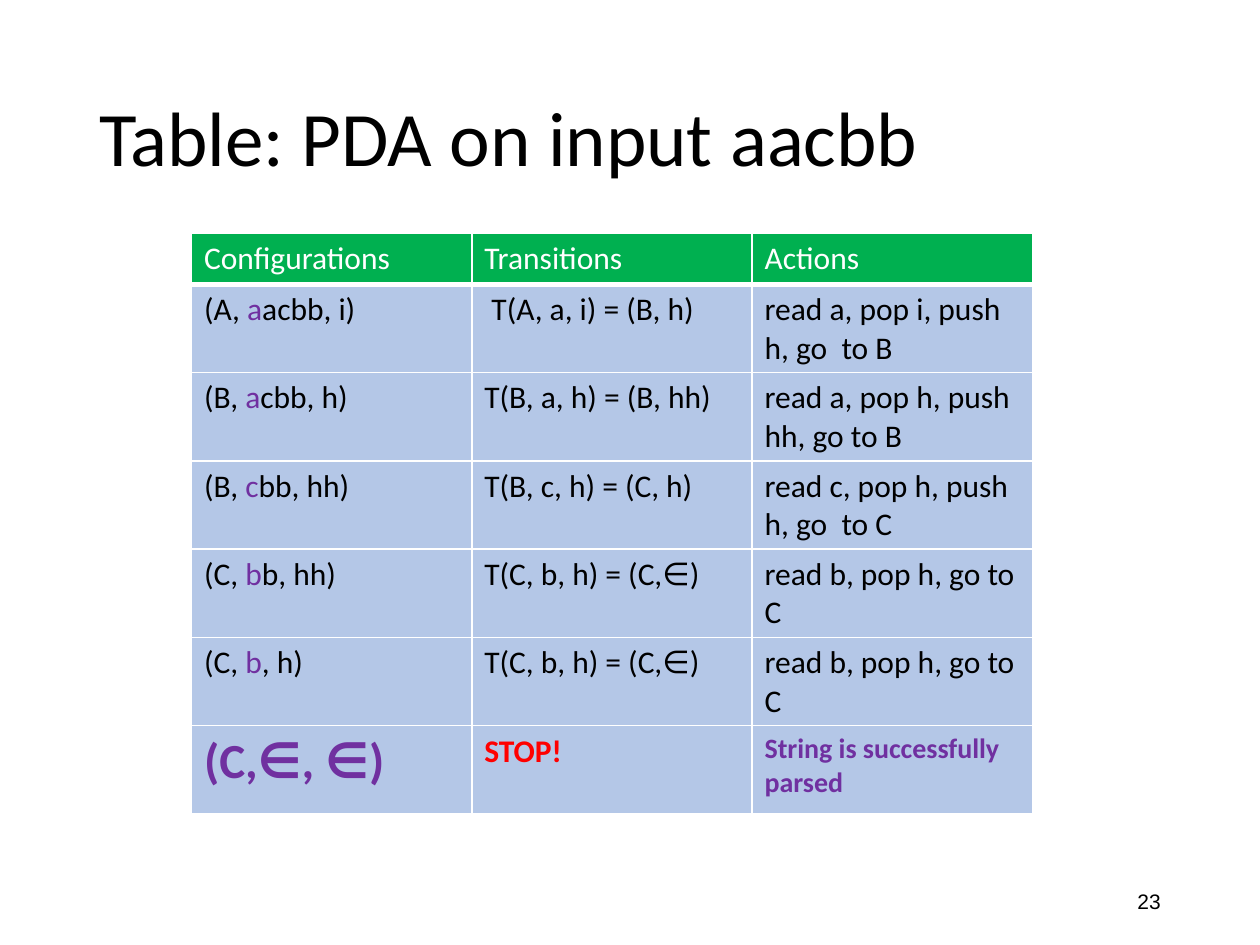
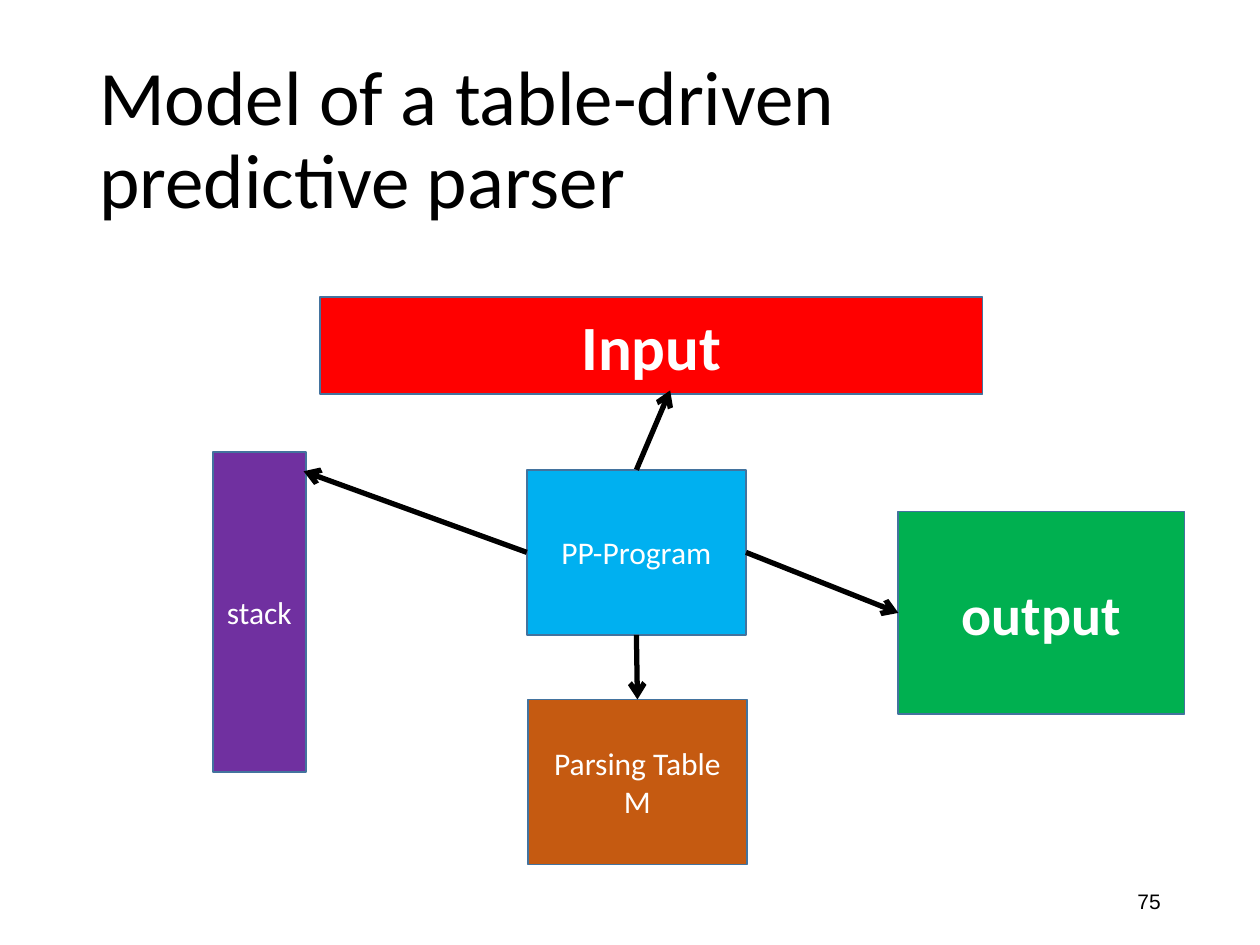
from pptx import Presentation
from pptx.dml.color import RGBColor
from pptx.enum.shapes import MSO_CONNECTOR, MSO_SHAPE
from pptx.enum.text import MSO_ANCHOR, PP_ALIGN
from pptx.oxml import parse_xml
from pptx.oxml.ns import nsdecls
from pptx.util import Cm, Pt

RECTANGLE = MSO_SHAPE.RECTANGLE
STRAIGHT = MSO_CONNECTOR.STRAIGHT
MIDDLE = MSO_ANCHOR.MIDDLE
LEFT, CENTER, RIGHT = PP_ALIGN.LEFT, PP_ALIGN.CENTER, PP_ALIGN.RIGHT
TOP_SITE, LEFT_SITE, BOTTOM_SITE, RIGHT_SITE = range(4)

BLACK = RGBColor(0x00, 0x00, 0x00)
WHITE = RGBColor(0xFF, 0xFF, 0xFF)
GREEN = RGBColor(0x00, 0xB0, 0x50)
PALE_BLUE = RGBColor(0xB4, 0xC7, 0xE7)
PURPLE = RGBColor(0x70, 0x30, 0xA0)
RED = RGBColor(0xFF, 0x00, 0x00)
SKY_BLUE = RGBColor(0x00, 0xB0, 0xF0)
BROWN = RGBColor(0xC5, 0x5A, 0x11)
OUTLINE = RGBColor(0x43, 0x73, 0x9E)

BODY_FONT = "Calibri"
NUMBER_FONT = "Arial"

HEADINGS = ("Configurations", "Transitions", "Actions")
STEPS = (
    (("(A, ", "a", "acbb, i)"), " T(A, a, i) = (B, h)", "read a, pop i, push h, go  to B"),
    (("(B, ", "a", "cbb, h)"), "T(B, a, h) = (B, hh)", "read a, pop h, push hh, go to B"),
    (("(B, ", "c", "bb, hh)"), "T(B, c, h) = (C, h)", "read c, pop h, push h, go  to C"),
    (("(C, ", "b", "b, hh)"), "T(C, b, h) = (C,∈)", "read b, pop h, go to C"),
    (("(C, ", "b", ", h)"), "T(C, b, h) = (C,∈)", "read b, pop h, go to C"),
)
RESULT = (
    ("(C,∈, ∈)", {"size": 28, "color": PURPLE, "bold": True}),
    ("STOP!", {"color": RED, "bold": True}),
    ("String is successfully parsed", {"size": 16, "color": PURPLE, "bold": True}),
)


def write_text(frame, text, *, size=18, color=BLACK, bold=False, font=BODY_FONT,
               align=LEFT, line_spacing=None):
    """Write a string, or a (before, symbol, after) tuple whose symbol is purple."""
    parts = (text,) if isinstance(text, str) else text
    frame.word_wrap = True
    paragraph = frame.paragraphs[0]
    paragraph.alignment = align
    paragraph.line_spacing = line_spacing
    for index, part in enumerate(parts):
        run = paragraph.add_run()
        run.text = part
        run.font.name = font
        run.font.size = Pt(size)
        run.font.bold = bold
        run.font.color.rgb = PURPLE if index == 1 else color


def add_text_box(slide, text, left, top, width, height, **text_format):
    """Add a vertically centred text box."""
    text_box = slide.shapes.add_textbox(Cm(left), Cm(top), Cm(width), Cm(height))
    text_box.text_frame.vertical_anchor = MIDDLE
    write_text(text_box.text_frame, text, **text_format)


def add_titled_slide(presentation, title, number):
    """Add a blank slide with the shared title and slide number."""
    slide = presentation.slides.add_slide(presentation.slide_layouts[6])
    add_text_box(slide, title, 1.75, 1.02, 21.89, 3.68, size=44, line_spacing=0.9)
    add_text_box(slide, str(number), 17.93, 17.65, 5.72, 1.02,
                 size=12, font=NUMBER_FONT, align=RIGHT)
    return slide


def add_block(slide, text, left, top, width, height, fill, **text_format):
    """Add an outlined rectangle with a centred white label."""
    block = slide.shapes.add_shape(RECTANGLE, Cm(left), Cm(top), Cm(width), Cm(height))
    block.shadow.inherit = False
    block.fill.solid()
    block.fill.fore_color.rgb = fill
    block.line.color.rgb = OUTLINE
    block.line.width = Pt(1)
    block.text_frame.vertical_anchor = MIDDLE
    write_text(block.text_frame, text, color=WHITE, align=CENTER, **text_format)
    return block


def add_arrow(slide, source, source_site, *, point=(0, 0), target=None, target_site=None):
    """Add an arrow from a block to a point in centimetres or to another block."""
    end_x, end_y = point
    arrow = slide.shapes.add_connector(STRAIGHT, source.left, source.top, Cm(end_x), Cm(end_y))
    arrow.begin_connect(source, source_site)
    if target is not None:
        arrow.end_connect(target, target_site)
    arrow.line.color.rgb = BLACK
    arrow.line.width = Pt(3)
    arrow.line._get_or_add_ln().append(parse_xml(f'<a:tailEnd {nsdecls("a")} type="arrow"/>'))
    arrow._element.spPr.append(parse_xml(f'<a:effectLst {nsdecls("a")}/>'))


def style_cell(cell, fill, bottom_width=1, top_width=1):
    """Give a table cell white borders and a solid fill."""
    properties = cell._tc.get_or_add_tcPr()
    for side, width in (("L", 1), ("R", 1), ("T", top_width), ("B", bottom_width)):
        properties.append(parse_xml(
            f'<a:ln{side} {nsdecls("a")} w="{Pt(width)}"><a:solidFill>'
            f'<a:srgbClr val="{WHITE}"/></a:solidFill></a:ln{side}>'))
    cell.fill.solid()
    cell.fill.fore_color.rgb = fill


def add_trace_table(slide):
    """Add the table that traces the automaton step by step."""
    rows = [[(heading, {"color": WHITE}) for heading in HEADINGS]]
    rows += [[(text, {}) for text in step] for step in STEPS]
    rows.append(RESULT)
    table = slide.shapes.add_table(len(rows), len(HEADINGS), Cm(3.86), Cm(4.7),
                                   Cm(16.95), Cm(11.71)).table
    for column in table.columns:
        column.width = Cm(5.65)
    for row_index, row in enumerate(rows):
        is_header = row_index == 0
        table.rows[row_index].height = Cm(1.03 if is_header else 1.78)
        for column_index, (text, text_format) in enumerate(row):
            cell = table.cell(row_index, column_index)
            style_cell(cell, GREEN if is_header else PALE_BLUE,
                       bottom_width=3 if is_header else 1,
                       top_width=3 if row_index == 1 else 1)
            write_text(cell.text_frame, text, **text_format)


def add_parser_model(slide):
    """Add the blocks of the predictive parser and the arrows between them."""
    program = add_block(slide, "PP-Program", 10.62, 9.47, 4.42, 3.33, SKY_BLUE)
    parsing_table = add_block(slide, "Parsing Table M", 10.64, 14.1, 4.42, 3.33, BROWN)
    add_block(slide, "Input", 6.45, 5.99, 13.36, 1.96, RED, size=36, bold=True)
    add_block(slide, "stack", 4.29, 9.12, 1.88, 6.45, PURPLE)
    output = add_block(slide, "output", 18.11, 10.31, 5.77, 4.09, GREEN, size=32, bold=True)
    add_arrow(slide, program, TOP_SITE, point=(13.51, 7.87))
    add_arrow(slide, program, LEFT_SITE, point=(6.12, 9.5))
    add_arrow(slide, program, BOTTOM_SITE, target=parsing_table, target_site=TOP_SITE)
    add_arrow(slide, program, RIGHT_SITE, target=output, target_site=LEFT_SITE)


def main():
    """Build both slides and save the presentation."""
    presentation = Presentation()
    presentation.slide_width = Cm(25.4)
    presentation.slide_height = Cm(19.05)
    add_trace_table(add_titled_slide(presentation, "Table: PDA on input aacbb", 23))
    add_parser_model(
        add_titled_slide(presentation, "Model of a table-driven predictive parser", 75))
    presentation.save("out.pptx")


if __name__ == "__main__":
    main()
